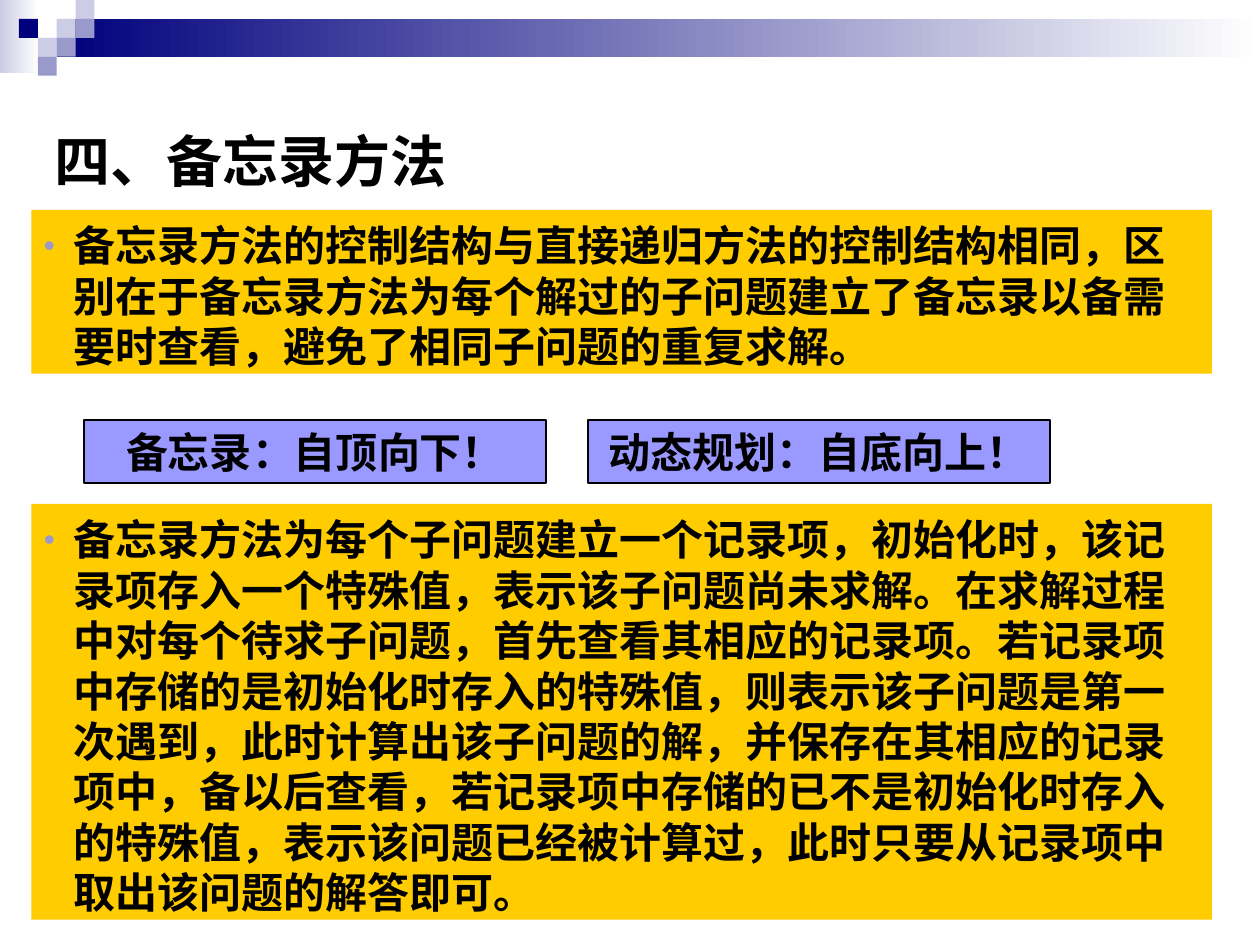
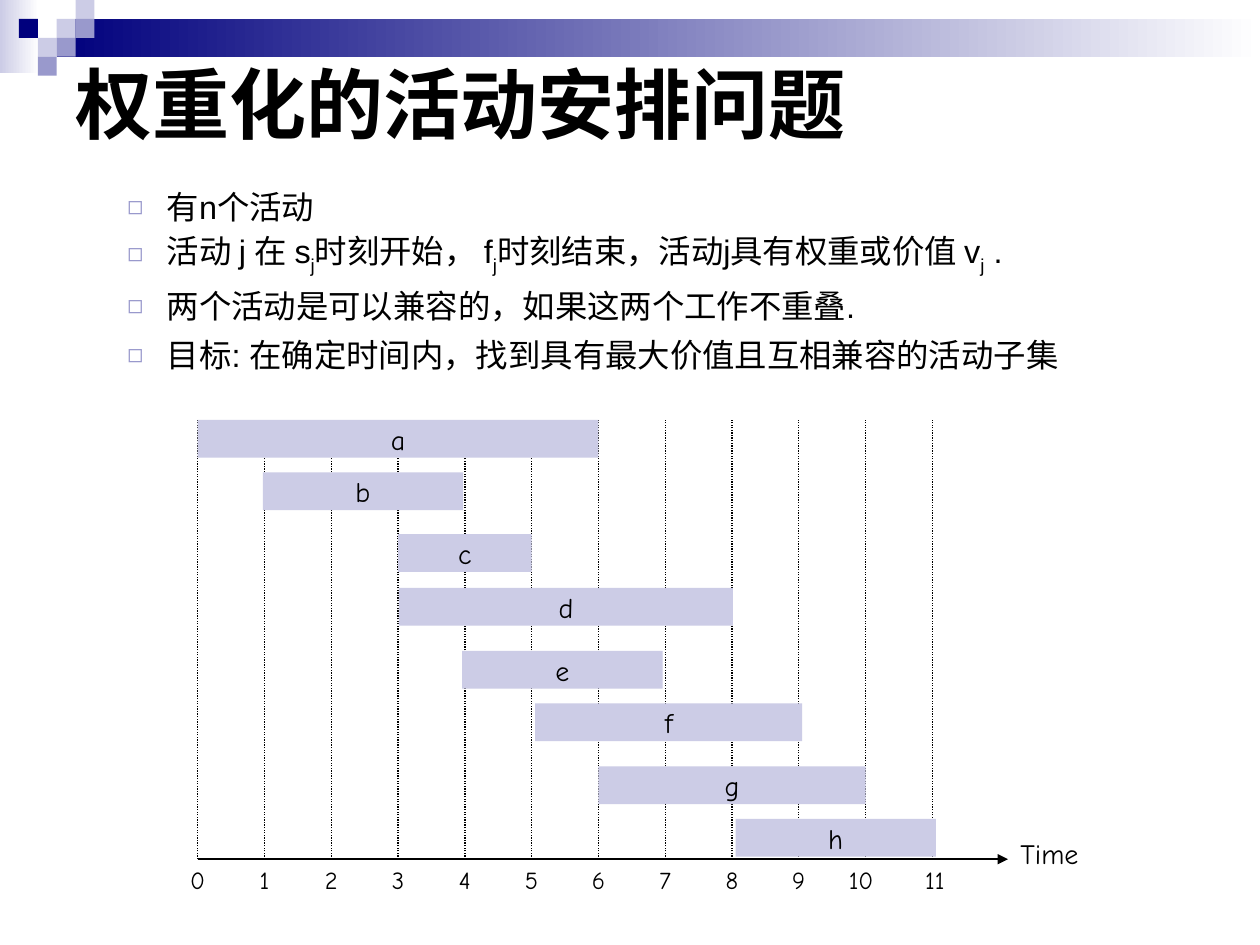
from dataclasses import dataclass
from typing import Any, NamedTuple, Optional

from lxml import etree
from pptx import Presentation
from pptx import util as u
from pptx.dml.color import RGBColor
from pptx.enum import dml, shapes, text
from pptx.oxml import ns

BLACK, NAVY, WHITE = "000000", "00007D", "FFFFFF"
LAVENDER, VIOLET = "CCCCE6", "9999CC"
AMBER, PERIWINKLE = "FFCC00", "9999FF"
LATIN, CHINESE, HAND = "Arial", "Noto Sans CJK SC", "Comic Neue"
CENTER, MIDDLE = text.PP_ALIGN.CENTER, text.MSO_ANCHOR.MIDDLE
CHINESE_HEIGHT = 1.288
CELL = 10.8
AXIS_LEFT, AXIS_RIGHT, AXIS_Y = 113, 576, 491
GRID_TOP, HOUR, HOURS = 240, 38.16, 11
BAR_HEIGHT = 21.6
TICK_WIDTH = 33
TICK_NUDGE = {10: -2.5, 11: 1.5}


class Box(NamedTuple):
    left: float
    top: float
    width: float
    height: float


class Cell(NamedTuple):
    column: int
    row: int
    color: str


class Activity(NamedTuple):
    name: str
    start: int
    end: int
    top: float
    nudge: float = 0


@dataclass(frozen=True)
class Bullet:
    character: str
    percent: int
    margin: float
    hanging: float


@dataclass(frozen=True)
class Style:
    size: float
    font: str = LATIN
    bold: bool = False
    line: Optional[float] = None
    before: float = 0
    align: Any = text.PP_ALIGN.LEFT
    anchor: Any = text.MSO_ANCHOR.TOP
    wrap: bool = True
    bullet: Optional[Bullet] = None


HEADING = Style(32, bold=True, line=38.4)
TITLE = Style(44, font=CHINESE, bold=True, anchor=MIDDLE)
PANEL = Style(24, bold=True, line=28.8, bullet=Bullet("•", 75, 17, 17))
CALLOUT = Style(24, bold=True, align=CENTER, anchor=MIDDLE, wrap=False)
LIST = Style(18.5, line=23.2, before=5, bullet=Bullet("◻", 80, 58.3, 22.5))
BAR = Style(16, font=HAND, align=CENTER, anchor=MIDDLE, wrap=False)
AXIS_NAME = Style(16, font=HAND)
TICK = Style(14, font=HAND, align=CENTER)

CELLS = [
    Cell(3, 1, LAVENDER), Cell(4, 0, LAVENDER), Cell(4, 1, VIOLET),
    Cell(2, 2, LAVENDER), Cell(1, 1, NAVY), Cell(3, 2, VIOLET), Cell(2, 3, VIOLET),
]

PANELS = [
    (Box(18, 120, 674.6, 93.6),
     "备忘录方法的控制结构与直接递归方法的控制结构相同，区别在于备忘录方法为每个解过的子问题"
     "建立了备忘录以备需要时查看，避免了相同子问题的重复求解。"),
    (Box(18, 288, 674.6, 237.6),
     "备忘录方法为每个子问题建立一个记录项，初始化时，该记录项存入一个特殊值，表示该子问题尚未求解。"
     "在求解过程中对每个待求子问题，首先查看其相应的记录项。若记录项中存储的是初始化时存入的特殊值，"
     "则表示该子问题是第一次遇到，此时计算出该子问题的解，并保存在其相应的记录项中，备以后查看，"
     "若记录项中存储的已不是初始化时存入的特殊值，表示该问题已经被计算过，"
     "此时只要从记录项中取出该问题的解答即可。"),
]
CALLOUTS = ["备忘录：自顶向下！", "动态规划：自底向上！"]

PROBLEM = [
    ["有n个活动"],
    ["活动 j 在 s", "j", "时刻开始， f", "j", "时刻结束，活动j具有权重或价值 v", "j", " ."],
    ["两个活动是可以兼容的，如果这两个工作不重叠."],
    ["目标: 在确定时间内，找到具有最大价值且互相兼容的活动子集"],
]

ACTIVITIES = [
    Activity("a", 0, 6, 240), Activity("b", 1, 4, 270, -1),
    Activity("c", 3, 5, 305.3), Activity("d", 3, 8, 336, 0.5),
    Activity("e", 4, 7, 372, -1.5), Activity("f", 5, 9, 402, 2),
    Activity("g", 6, 10, 438), Activity("h", 8, 11, 468, 2),
]


def rgb(color: str) -> RGBColor:
    return RGBColor.from_string(color)


def assign(target: Any, values: dict[str, Any]) -> None:
    for name, value in values.items():
        setattr(target, name, value)


def add_element(parent: Any, tag: str, **attributes: str) -> Any:
    return etree.SubElement(parent, ns.qn(f"a:{tag}"), attributes)


def add_bullet(paragraph: Any, bullet: Bullet) -> None:
    properties = paragraph._p.get_or_add_pPr()
    properties.set("marL", str(u.Pt(bullet.margin)))
    properties.set("indent", str(-u.Pt(bullet.hanging)))
    add_element(add_element(properties, "buClr"), "srgbClr", val=VIOLET)
    add_element(properties, "buSzPct", val=str(bullet.percent * 1000))
    add_element(properties, "buFont", typeface=LATIN)
    add_element(properties, "buChar", char=bullet.character)


def add_run(paragraph: Any, content: str, style: Style, subscript: bool) -> None:
    run = paragraph.add_run()
    run.text = content
    assign(run.font, {"name": style.font, "size": u.Pt(style.size), "bold": style.bold})
    run.font.color.rgb = rgb(BLACK)
    properties = run._r.get_or_add_rPr()
    add_element(properties, "ea", typeface=HAND if style.font == HAND else CHINESE)
    if subscript:
        properties.set("baseline", "-25000")


def write(shape: Any, lines: list[list[str]], style: Style) -> None:
    frame = shape.text_frame
    lift = CHINESE_HEIGHT * style.size - style.line if style.line else 0
    assign(frame, {
        "word_wrap": style.wrap, "vertical_anchor": style.anchor,
        "margin_left": u.Pt(7.2), "margin_right": u.Pt(7.2),
        "margin_top": u.Pt(3.6 + lift), "margin_bottom": u.Pt(3.6),
    })
    for index, pieces in enumerate(lines):
        paragraph = frame.add_paragraph() if index else frame.paragraphs[0]
        if style.bullet:
            add_bullet(paragraph, style.bullet)
        assign(paragraph, {
            "alignment": style.align,
            "line_spacing": u.Pt(style.line) if style.line else None,
            "space_before": u.Pt(style.before if index else 0),
        })
        for position, piece in enumerate(pieces):
            add_run(paragraph, piece, style, subscript=position % 2 == 1)


def add_text(slide: Any, box: Box, lines: list[list[str]], style: Style) -> None:
    write(slide.shapes.add_textbox(*map(u.Pt, box)), lines, style)


def add_rectangle(slide: Any, box: Box, color: str, fade: Optional[str] = None,
                  outline: Optional[str] = None) -> Any:
    shape = slide.shapes.add_shape(shapes.MSO_SHAPE.RECTANGLE, *map(u.Pt, box))
    shape.shadow.inherit = False
    if fade:
        shape.fill.gradient()
        shape.fill.gradient_angle = 0
        for stop, position, shade in zip(shape.fill.gradient_stops, (0, 1), (color, fade)):
            stop.position = position
            stop.color.rgb = rgb(shade)
    else:
        shape.fill.solid()
        shape.fill.fore_color.rgb = rgb(color)
    if outline:
        shape.line.color.rgb = rgb(outline)
        shape.line.width = u.Pt(0.75)
    else:
        shape.line.fill.background()
    return shape


def add_line(slide: Any, start: tuple[float, float], end: tuple[float, float],
             width: float, dash: Any = None, arrow: bool = False) -> None:
    connector = slide.shapes.add_connector(
        shapes.MSO_CONNECTOR.STRAIGHT, *map(u.Pt, (*start, *end)))
    connector.line.color.rgb = rgb(BLACK)
    assign(connector.line, {"width": u.Pt(width), "dash_style": dash})
    if arrow:
        add_element(connector.line._get_or_add_ln(), "tailEnd", type="triangle")
    add_element(connector._element.spPr, "effectLst")


def add_slide(presentation: Any) -> Any:
    slide = presentation.slides.add_slide(presentation.slide_layouts[6])
    add_rectangle(slide, Box(0, 0, 22.3, 41.8), LAVENDER, fade=WHITE)
    add_rectangle(slide, Box(3 * CELL, CELL, 720 - 3 * CELL, 2 * CELL), NAVY, fade=WHITE)
    for cell in CELLS:
        box = Box(cell.column * CELL, cell.row * CELL, CELL, CELL)
        add_rectangle(slide, box, cell.color)
    return slide


def build_memo_slide(presentation: Any) -> None:
    slide = add_slide(presentation)
    add_text(slide, Box(24, 66, 612, 48), [["四、备忘录方法"]], HEADING)
    for box, content in PANELS:
        write(add_rectangle(slide, box, AMBER), [[content]], PANEL)
    for index, content in enumerate(CALLOUTS):
        box = Box(48 + 288 * index, 240, 264, 36)
        write(add_rectangle(slide, box, PERIWINKLE, outline=BLACK), [[content]], CALLOUT)


def draw_schedule(slide: Any) -> None:
    add_line(slide, (AXIS_LEFT, AXIS_Y), (AXIS_RIGHT, AXIS_Y), 1.25, arrow=True)
    add_text(slide, Box(AXIS_RIGHT, 474.5, 60, 26.6), [["Time"]], AXIS_NAME)
    for hour in range(HOURS + 1):
        x = AXIS_LEFT + hour * HOUR
        add_line(slide, (x, AXIS_Y), (x, GRID_TOP), 0.75, dash=dml.MSO_LINE.ROUND_DOT)
        left = x - TICK_WIDTH / 2 + TICK_NUDGE.get(hour, 0)
        add_text(slide, Box(left, AXIS_Y, TICK_WIDTH, 24), [[str(hour)]], TICK)
    for activity in ACTIVITIES:
        left = AXIS_LEFT + activity.start * HOUR + activity.nudge
        width = (activity.end - activity.start) * HOUR
        bar = add_rectangle(slide, Box(left, activity.top, width, BAR_HEIGHT), LAVENDER)
        write(bar, [[activity.name]], BAR)


def build_schedule_slide(presentation: Any) -> None:
    slide = add_slide(presentation)
    add_text(slide, Box(36, 34.5, 648, 48), [["权重化的活动安排问题"]], TITLE)
    add_text(slide, Box(30, 102, 648, 120), PROBLEM, LIST)
    draw_schedule(slide)


def main() -> None:
    presentation = Presentation()
    assign(presentation, {"slide_width": u.Pt(720), "slide_height": u.Pt(540)})
    build_memo_slide(presentation)
    build_schedule_slide(presentation)
    presentation.save("out.pptx")


if __name__ == "__main__":
    main()
